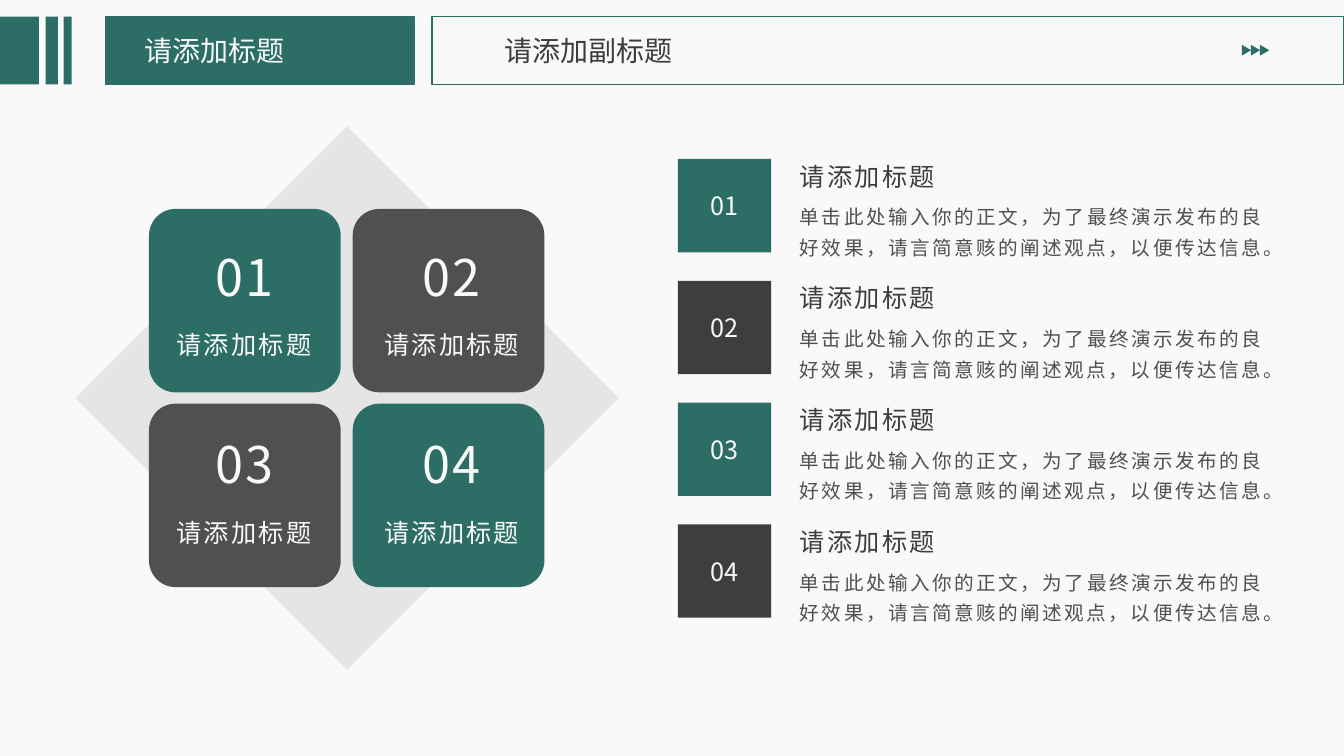
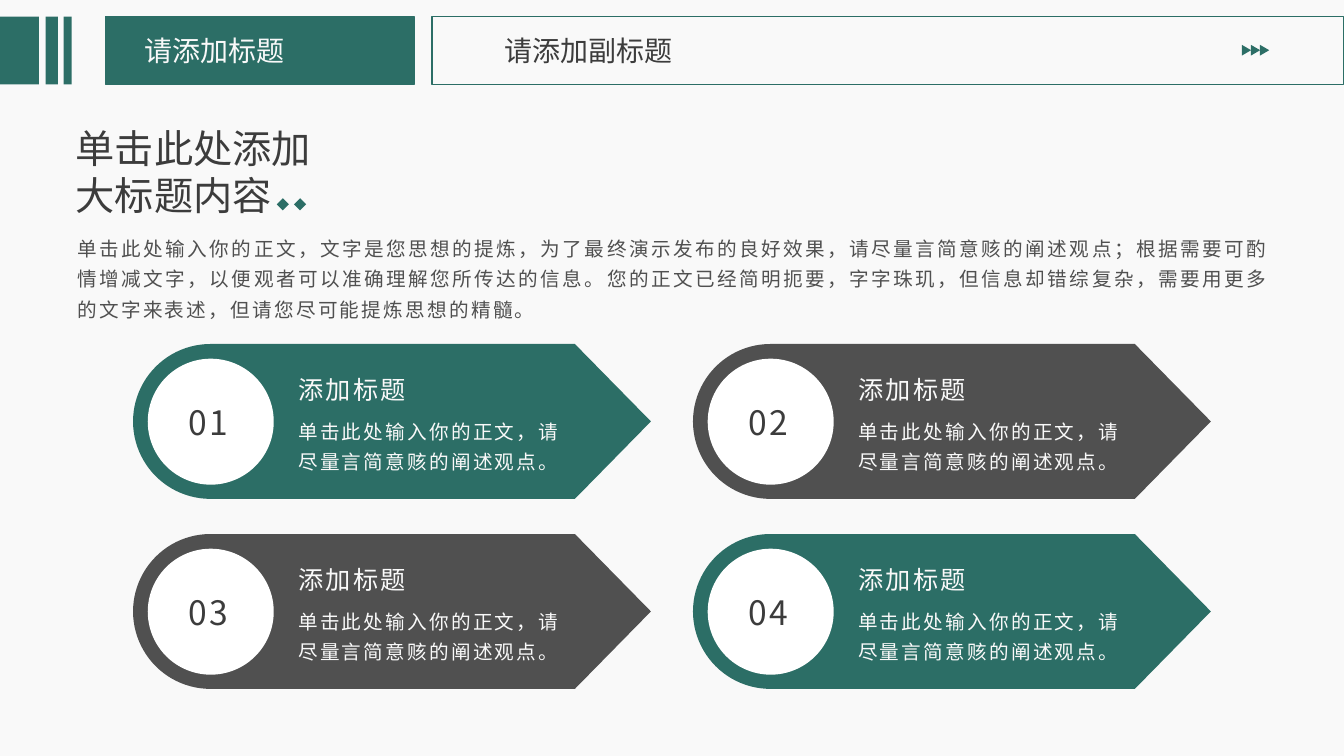
from itertools import product

from lxml import etree
from pptx import Presentation
from pptx.dml.color import RGBColor
from pptx.enum.shapes import MSO_SHAPE as SHAPE
from pptx.enum.text import MSO_ANCHOR as ANCHOR
from pptx.enum.text import MSO_AUTO_SIZE as FIT
from pptx.enum.text import PP_ALIGN as ALIGN
from pptx.oxml.ns import qn
from pptx.util import Pt

# The slide is a grid of 160 columns by 90 rows of square cells
COLS, ROWS, CELL = 160, 90, 76200
FONT = "Noto Sans CJK SC"
GREEN, GREY, DARK, INK = "2C6E66", "505050", "3E3E3E", "3C3C3C"
PAPER, PALE, WHITE = "F9F9F9", "E5E5E5", "FFFFFF"
TITLE = "请添加标题"


def add(s, kind, x, y, w, h, fill=None, line=None):
    """Add a preset shape, or a text box when kind is None; grid units."""
    box = [round(v * CELL) for v in (x, y, w, h)]
    if kind is None:
        return s.shapes.add_textbox(*box)
    sp = s.shapes.add_shape(kind, *box)
    sp.shadow.inherit = False
    if fill:
        sp.fill.solid()
        sp.fill.fore_color.rgb = RGBColor.from_string(fill)
    else:
        sp.fill.background()
    if line:
        sp.line.color.rgb = RGBColor.from_string(line)
        sp.line.width = Pt(1)
    else:
        sp.line.fill.background()
    return sp


def write(sp, lines, size, color, align=ALIGN.LEFT, spacing=None,
          inset=True, wrap=True):
    """Fill a shape with one paragraph per line; spacing also tracks letters."""
    tf = sp.text_frame
    tf.word_wrap = wrap
    if not inset:
        tf.margin_left = tf.margin_top = tf.margin_right = tf.margin_bottom = 0
    for i, text in enumerate(lines):
        p = tf.add_paragraph() if i else tf.paragraphs[0]
        p.alignment = align
        r = p.add_run()
        r.text = text
        r.font.name, r.font.size = FONT, Pt(size)
        r.font.color.rgb = RGBColor.from_string(color)
        rPr = r.font._element
        etree.SubElement(rPr, qn("a:ea")).set("typeface", FONT)
        if spacing:
            p.line_spacing, p.space_after = spacing, Pt(6)
            rPr.set("spc", "160")
    return tf


prs = Presentation()
prs.slide_width, prs.slide_height = COLS * CELL, ROWS * CELL
bg = prs.slide_master.background.fill
bg.solid()
bg.fore_color.rgb = RGBColor.from_string(PAPER)
blank = prs.slide_layouts[6]
grid = list(product(range(2), range(2)))

# Slide 1: four cards on a diamond
s = prs.slides.add_slide(blank)
add(s, SHAPE.RECTANGLE, 18.45, 24.5, 45.75, 45.75, PALE).rotation = 315
for n, (row, col) in enumerate(grid, 1):
    fill = GREY if (row + col) % 2 else GREEN
    card = add(s, SHAPE.ROUNDED_RECTANGLE, 17.74 + 24.25 * col,
               24.87 + 23.18 * row, 22.83, 21.84, fill)
    card.adjustments[0] = 0.145
    sp = add(s, None, 25.3 + 24.65 * col, 27.1 + 22.35 * row, 7.7, 8.5)
    write(sp, [f"{n:02}"], 36, PAPER, ALIGN.CENTER, 1.3, inset=False, wrap=False)
    sp = add(s, None, 14.1 + 24.74 * col, 37.55 + 22.35 * row, 29.9, 5.9)
    write(sp, [TITLE], 18, PAPER, ALIGN.CENTER, 1.3)

# Slide 1: numbered list
for i in range(4):
    y = 18.93 + 14.5 * i
    sp = add(s, SHAPE.RECTANGLE, 80.7, y, 11.12, 11.12, DARK if i % 2 else GREEN)
    tf = write(sp, [f"{i + 1:02}"], 18, PAPER, ALIGN.CENTER)
    tf.vertical_anchor = ANCHOR.MIDDLE
    sp = add(s, None, 95.23, y - 0.85, 25.3, 4.7)
    write(sp, [TITLE], 18, DARK, spacing=1.3, inset=False)
    sp = add(s, None, 95.23, y + 4.67, 55.2, 7)
    write(sp, ["单击此处输入你的正文，为了最终演示发布的良好效果，"
               "请言简意赅的阐述观点，以便传达信息。"],
          14, GREY, ALIGN.JUSTIFY, 1.3, inset=False)

# Slide 2: four round-backed arrows
s = prs.slides.add_slide(blank)
RADIUS, SHOULDER, TIP = 9.22, 52.6, 61.65
outline = [(RADIUS, 0), (SHOULDER, 0), (TIP, RADIUS), (SHOULDER, 2 * RADIUS),
           (RADIUS, 2 * RADIUS), (0, RADIUS)]
for n, (row, col) in enumerate(grid, 1):
    x, y = 15.84 + 66.66 * col, 40.95 + 22.62 * row
    pts = [(round((x + dx) * CELL), round((y + dy) * CELL)) for dx, dy in outline]
    fb = s.shapes.build_freeform(*pts[0])
    fb.add_line_segments(pts[1:], close=True)
    arrow = fb.convert_to_shape()
    # The last segment becomes a half circle from bottom to top
    back = list(arrow._element.iter(qn("a:lnTo")))[-1]
    arc = etree.Element(qn("a:arcTo"))
    for key, value in (("wR", round(RADIUS * CELL)), ("hR", round(RADIUS * CELL)),
                       ("stAng", 90 * 60000), ("swAng", 180 * 60000)):
        arc.set(key, str(value))
    back.getparent().replace(back, arc)
    arrow.shadow.inherit = False
    arrow.fill.solid()
    arrow.fill.fore_color.rgb = RGBColor.from_string(
        GREY if (row + col) % 2 else GREEN)
    arrow.line.fill.background()
    add(s, SHAPE.OVAL, x + 1.75, y + 1.75, 15, 15, WHITE)
    sp = add(s, None, x + 6.6, y + 5.43, 5.3, 5.8)
    write(sp, [f"{n:02}"], 24, INK, ALIGN.JUSTIFY, 1.3, inset=False, wrap=False)
    sp = add(s, None, x + 18.53, y + 3.45, 31.7, 4.45)
    write(sp, ["添加标题"], 18, PAPER, spacing=0.9)
    sp = add(s, None, x + 19.66, y + 8.17, 32.3, 7)
    write(sp, ["单击此处输入你的正文，请尽量言简意赅的阐述观点。"],
          14, PAPER, spacing=1.3, inset=False)

# Slide 2: heading and introduction
sp = add(s, None, 7.84, 14.2, 80, 12.5)
write(sp, ["单击此处添加", "大标题内容"], 28, INK)
for i in range(2):
    add(s, SHAPE.DIAMOND, 32.95 + 2.05 * i, 23.6, 1.45, 1.45, GREEN)
sp = add(s, None, 9.23, 27.35, 141.8, 10.7)
write(sp, ["单击此处输入你的正文，文字是您思想的提炼，为了最终演示发布的良好效果，"
           "请尽量言简意赅的阐述观点；根据需要可酌情增减文字，"
           "以便观者可以准确理解您所传达的信息。您的正文已经简明扼要，字字珠玑，"
           "但信息却错综复杂，需要用更多的文字来表述，但请您尽可能提炼思想的精髓。"],
      14, GREY, ALIGN.JUSTIFY, 1.3, inset=False)

# Header band and text fitting shared by all slides
for s in prs.slides:
    for x, w, fill, text_x, text, color in (
            (12.6, 36.7, GREEN, 16.03, TITLE, PAPER),
            (51.45, 108.5, None, 58.9, "请添加副标题", INK)):
        add(s, SHAPE.RECTANGLE, x, 2, w, 8.05, fill, GREEN)
        write(add(s, None, text_x, 3.45, 80, 5.25), [text], 20, color)
    for x, w in ((0, 4.65), (5.43, 1.47), (7.58, 0.95)):
        add(s, SHAPE.RECTANGLE, x, 2, w, 8.05, GREEN)
    for i in range(3):
        add(s, SHAPE.ISOSCELES_TRIANGLE, 147.75 + 1.08 * i, 5.43, 1.28, 1.1,
            GREEN).rotation = 90
    for sp in s.shapes:
        if sp.has_text_frame and sp.text_frame.text and sp.fill.type is None:
            sp.text_frame.auto_size = FIT.SHAPE_TO_FIT_TEXT

prs.save("out.pptx")
